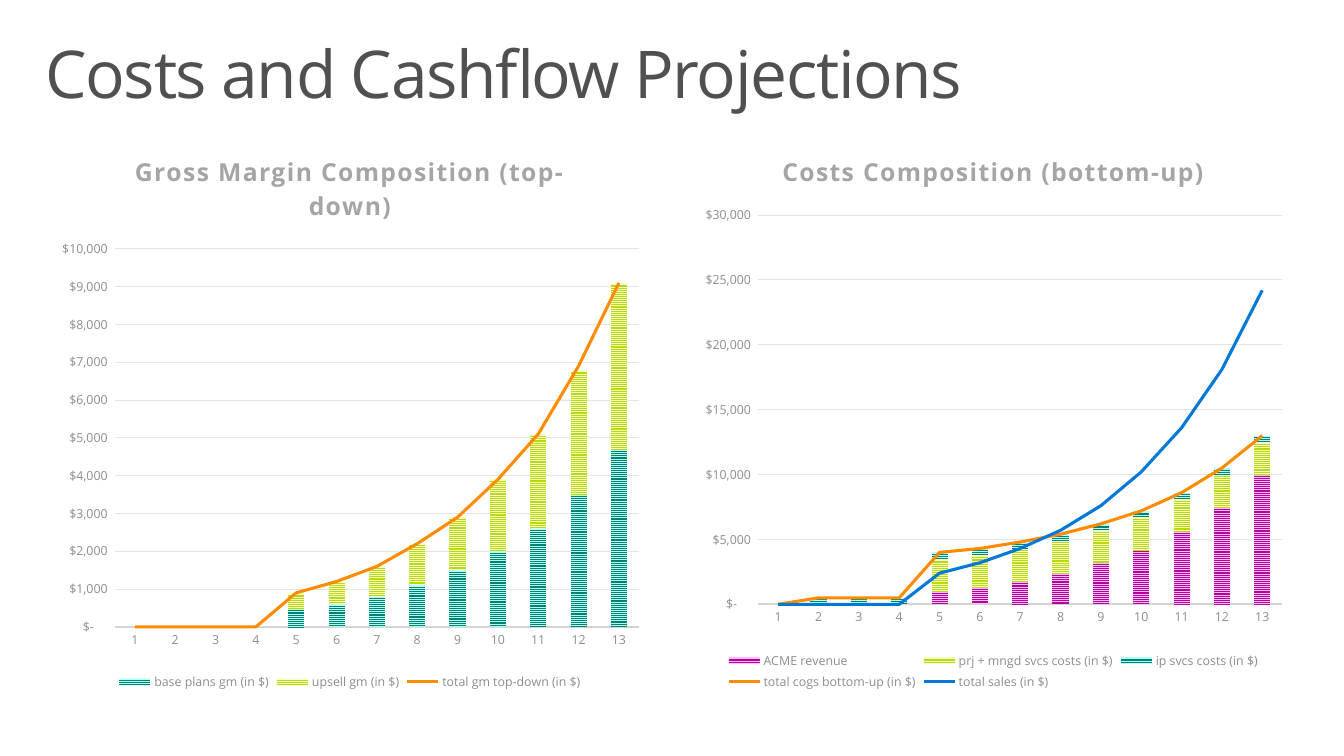
import pptx
import pptx.chart.data
import pptx.dml.color
import pptx.enum.chart
import pptx.enum.dml
import pptx.oxml
import pptx.oxml.ns
import pptx.util
from lxml import etree

RGBColor = pptx.dml.color.RGBColor
INK = RGBColor(0x50, 0x50, 0x50)
HEADING = RGBColor(0xA5, 0xA5, 0xA5)
LABEL = RGBColor(0x8D, 0x8D, 0x8D)
AXIS = RGBColor(0xD3, 0xD3, 0xD3)
GRIDLINE = RGBColor(0xE5, 0xE5, 0xE5)
ORANGE = RGBColor(0xFF, 0x8C, 0x00)
BLUE = RGBColor(0x00, 0x78, 0xD7)
TEAL = (RGBColor(0x00, 0x82, 0x72), RGBColor(0xB3, 0xFF, 0xF6))
LIME = (RGBColor(0xBA, 0xD8, 0x0A), RGBColor(0xF5, 0xFC, 0xC9))
PURPLE = (RGBColor(0xB4, 0x00, 0x9E), RGBColor(0xFF, 0xBD, 0xF7))

FONT = "Open Sans"
DOLLARS = '_("$"* #,##0_);_("$"* \\(#,##0\\);_("$"* "-"??_);_(@_)'
WIDTH, HEIGHT = pptx.util.Inches(13.6), pptx.util.Inches(7.65)
COLUMN, ROW = WIDTH / 136, HEIGHT / 153

MARGIN_BARS = [
    ("base plans gm (in $)", TEAL,
     [0, 0, 0, 0, 500, 600, 800, 1100, 1500, 2000, 2600, 3500, 4700]),
    ("upsell gm (in $)", LIME,
     [0, 0, 0, 0, 400, 600, 800, 1100, 1400, 1900, 2500, 3300, 4400]),
]
MARGIN_LINES = [
    ("total gm top-down (in $)", ORANGE,
     [0, 0, 0, 0, 900, 1200, 1600, 2200, 2900, 3900, 5100, 6900, 9100]),
]
COST_BARS = [
    ("ACME revenue", PURPLE,
     [0, 0, 0, 0, 1000, 1300, 1800, 2400, 3200, 4200, 5600, 7500, 10000]),
    ("prj + mngd svcs costs (in $)", LIME, [0] * 4 + [2500] * 9),
    ("ip svcs costs (in $)", TEAL, [0] + [500] * 12),
]
COST_LINES = [
    ("total cogs bottom-up (in $)", ORANGE,
     [0, 500, 500, 500, 4000, 4300, 4800, 5400, 6200, 7200, 8600, 10500, 13000]),
    ("total sales (in $)", BLUE,
     [0, 0, 0, 0, 2400, 3200, 4300, 5700, 7600, 10200, 13600, 18100, 24200]),
]


def place(column, row, columns, rows):
    return [round(length) for length in
            (column * COLUMN, row * ROW, columns * COLUMN, rows * ROW)]


def style_font(font, size, color, bold=False):
    font.name, font.size, font.bold = FONT, pptx.util.Pt(size), bold
    font.color.rgb = color


def space_letters(paragraph, points):
    for span in paragraph.runs:
        span.font._element.set("spc", str(points * 100))


def add_title(page, text):
    box = page.shapes.add_textbox(*place(3, 6.4, 130, 20))
    frame = box.text_frame
    frame.word_wrap = True
    frame.margin_left = frame.margin_right = pptx.util.Inches(0.16)
    frame.margin_top = frame.margin_bottom = pptx.util.Inches(0.1)
    para = frame.paragraphs[0]
    para.text = text
    para.line_spacing = 0.9
    style_font(para.font, 48, INK)
    space_letters(para, -1)


def add_heading(chart, text):
    chart.has_title = True
    chart.chart_title.include_in_layout = False
    para = chart.chart_title.text_frame.paragraphs[0]
    para.text = text
    style_font(para.font, 18, HEADING, bold=True)
    space_letters(para, 1)


def style_axes(chart, top, step):
    for axis in (chart.category_axis, chart.value_axis):
        axis.major_tick_mark = pptx.enum.chart.XL_TICK_MARK.NONE
        axis.minor_tick_mark = pptx.enum.chart.XL_TICK_MARK.NONE
        style_font(axis.tick_labels.font, 9, LABEL)
    base = chart.category_axis.format.line
    base.color.rgb, base.width = AXIS, pptx.util.Pt(1.5)
    scale = chart.value_axis
    scale.minimum_scale, scale.maximum_scale, scale.major_unit = 0, top, step
    scale.format.line.fill.background()
    scale.tick_labels.number_format = DOLLARS
    scale.tick_labels.number_format_is_linked = False
    grid = scale.major_gridlines.format.line
    grid.color.rgb, grid.width = GRIDLINE, pptx.util.Pt(0.75)


def add_legend(chart):
    chart.has_legend = True
    chart.legend.position = pptx.enum.chart.XL_LEGEND_POSITION.BOTTOM
    chart.legend.include_in_layout = False
    style_font(chart.legend.font, 9, LABEL)


def move_to_lines(chart, first):
    tag = pptx.oxml.ns.qn
    bars = chart.plots[0]._element
    lines = etree.Element(tag("c:lineChart"))
    etree.SubElement(lines, tag("c:grouping")).set("val", "standard")
    etree.SubElement(lines, tag("c:varyColors")).set("val", "0")
    for series in bars.findall(tag("c:ser"))[first:]:
        for flag in series.findall(tag("c:invertIfNegative")):
            series.remove(flag)
        lines.append(series)
    etree.SubElement(lines, tag("c:marker")).set("val", "1")
    for axis in bars.findall(tag("c:axId")):
        etree.SubElement(lines, tag("c:axId")).set("val", axis.get("val"))
    bars.addnext(pptx.oxml.parse_xml(etree.tostring(lines)))


def paint_bars(plot, bars):
    plot.gap_width, plot.overlap = 150, 100
    plot.vary_by_categories = False
    for series, (_, (front, back), _) in zip(plot.series, bars):
        fill = series.format.fill
        fill.patterned()
        fill.pattern = pptx.enum.dml.MSO_PATTERN.NARROW_HORIZONTAL
        fill.fore_color.rgb, fill.back_color.rgb = front, back


def paint_lines(plot, lines):
    for series, (_, color, _) in zip(plot.series, lines):
        series.smooth = False
        series.marker.style = pptx.enum.chart.XL_MARKER_STYLE.NONE
        series.format.line.color.rgb = color
        series.format.line.width = pptx.util.Pt(2.25)


def fix_plot_area(chart, **shares):
    tag = pptx.oxml.ns.qn
    area = chart.plots[0]._element.getparent()
    for layout in area.findall(tag("c:layout")):
        area.remove(layout)
    layout = etree.Element(tag("c:layout"))
    manual = etree.SubElement(layout, tag("c:manualLayout"))
    settings = {"layoutTarget": "inner", "xMode": "edge", "yMode": "edge", **shares}
    for name, value in settings.items():
        etree.SubElement(manual, tag("c:" + name)).set("val", str(value))
    area.insert(0, layout)


def add_projection(page, column, heading, bars, lines, top, step, plot_top, plot_height):
    data = pptx.chart.data.CategoryChartData()
    data.categories = [str(period) for period in range(1, 14)]
    for name, _, values in bars + lines:
        data.add_series(name, values)
    kind = pptx.enum.chart.XL_CHART_TYPE.COLUMN_STACKED
    chart = page.shapes.add_chart(kind, *place(column, 26.4, 61, 114.2), data).chart
    style_font(chart.font, 10, INK)
    add_heading(chart, heading)
    style_axes(chart, top, step)
    add_legend(chart)
    move_to_lines(chart, len(bars))
    paint_bars(chart.plots[0], bars)
    paint_lines(chart.plots[1], lines)
    fix_plot_area(chart, x=0.11, y=plot_top, w=0.87, h=plot_height)


def main():
    deck = pptx.Presentation()
    deck.slide_width, deck.slide_height = WIDTH, HEIGHT
    page = deck.slides.add_slide(deck.slide_layouts[6])
    add_title(page, "Costs and Cashflow Projections")
    add_projection(page, 4.9, "Gross Margin Composition (top-down)",
                   MARGIN_BARS, MARGIN_LINES, 10000, 1000, 0.21, 0.67)
    add_projection(page, 70, "Costs Composition (bottom-up)",
                   COST_BARS, COST_LINES, 30000, 5000, 0.15, 0.69)
    deck.save("out.pptx")


if __name__ == "__main__":
    main()
